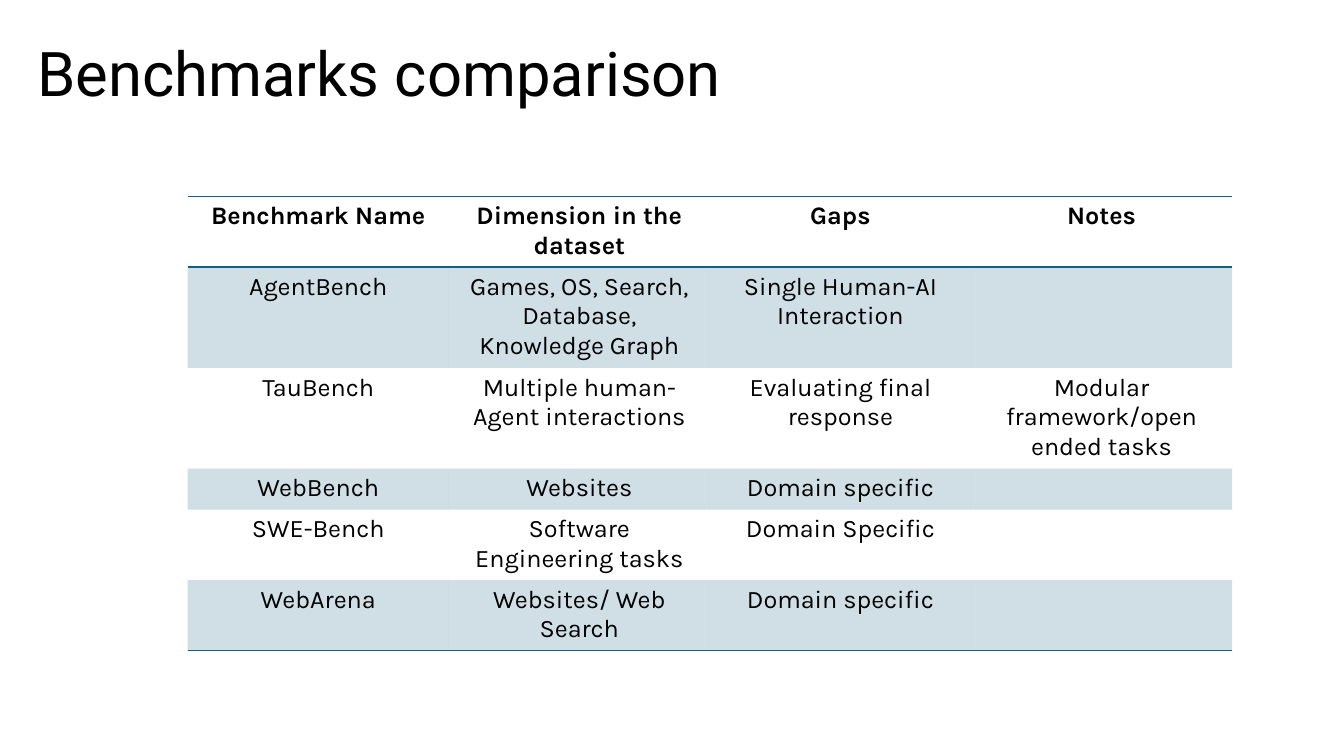
from lxml.etree import SubElement
from pptx import Presentation
from pptx.dml.color import RGBColor
from pptx.enum.text import MSO_ANCHOR, PP_ALIGN
from pptx.oxml import parse_xml
from pptx.oxml.ns import nsdecls, qn
from pptx.util import Cm, Pt

COLORS = {"text": "000000", "accent": "156082"}
BAND_ALPHA = 20000
PLAIN_STYLE = "{2D5ABB26-0587-4C30-8999-92F81FD0307C}"

BENCHMARKS = [
    ["Benchmark Name", "Dimension in the dataset", "Gaps", "Notes"],
    ["AgentBench", "Games, OS, Search, Database, Knowledge Graph",
     "Single Human-AI Interaction", ""],
    ["TauBench", "Multiple human-Agent interactions",
     "Evaluating final response", "Modular framework/open ended tasks"],
    ["WebBench", "Websites", "Domain specific", ""],
    ["SWE-Bench", "Software Engineering tasks", "Domain Specific", ""],
    ["WebArena", "Websites/ Web Search", "Domain specific", ""],
]


def style_text(para, font_name, size, bold=False):
    for span in para.runs:
        span.font.name = font_name
        span.font.size = Pt(size)
        span.font.bold = bold
        span.font.color.rgb = RGBColor.from_string(COLORS["text"])


def add_title(page, left, top, width, height):
    box = page.shapes.add_textbox(left, top, width, height)
    frame = box.text_frame
    frame.word_wrap = True
    frame.vertical_anchor = MSO_ANCHOR.BOTTOM
    frame.text = "Benchmarks comparison"
    para = frame.paragraphs[0]
    para.line_spacing = 0.9
    style_text(para, "Roboto", 44)


def fill_band(cell):
    cell.fill.solid()
    cell.fill.fore_color.rgb = RGBColor.from_string(COLORS["accent"])
    color = cell._tc.tcPr.find(f"{qn('a:solidFill')}/{qn('a:srgbClr')}")
    SubElement(color, qn("a:alpha"), val=str(BAND_ALPHA))


def add_borders(cell, sides):
    # Border elements come before the fill in the cell properties
    properties = cell._tc.get_or_add_tcPr()
    for position, side in enumerate(sides):
        properties.insert(position, parse_xml(
            f'<a:ln{side} {nsdecls("a")} w="12700"><a:solidFill>'
            f'<a:srgbClr val="{COLORS["accent"]}"/></a:solidFill></a:ln{side}>'))


def add_benchmark_table(page, left, top, width, row_height):
    row_count, column_count = len(BENCHMARKS), len(BENCHMARKS[0])
    table = page.shapes.add_table(row_count, column_count, left, top,
                                  width, row_height * row_count).table
    table.first_row = True
    table.horz_banding = True
    table._tbl.tblPr.find(qn("a:tableStyleId")).text = PLAIN_STYLE
    for row in table.rows:
        row.height = row_height

    for row_index, row in enumerate(BENCHMARKS):
        is_header = row_index == 0
        for column_index, words in enumerate(row):
            cell = table.cell(row_index, column_index)
            para = cell.text_frame.paragraphs[0]
            para.text = words
            para.alignment = PP_ALIGN.CENTER
            style_text(para, "Karla", 18, bold=is_header)

            # Tinted bands on odd rows, rules around header and at the foot
            if row_index % 2:
                fill_band(cell)
            else:
                cell.fill.background()
            if is_header:
                add_borders(cell, "TB")
            elif row_index == row_count - 1:
                add_borders(cell, "B")


def main():
    deck = Presentation()
    deck.slide_width, deck.slide_height = Cm(33.87), Cm(19.05)
    page = deck.slides.add_slide(deck.slide_layouts[6])
    add_title(page, Cm(0.69), Cm(0.81), Cm(19.58), Cm(2.08))
    add_benchmark_table(page, Cm(4.73), Cm(4.95), Cm(26.32), Cm(1.03))
    deck.save("out.pptx")


if __name__ == "__main__":
    main()
